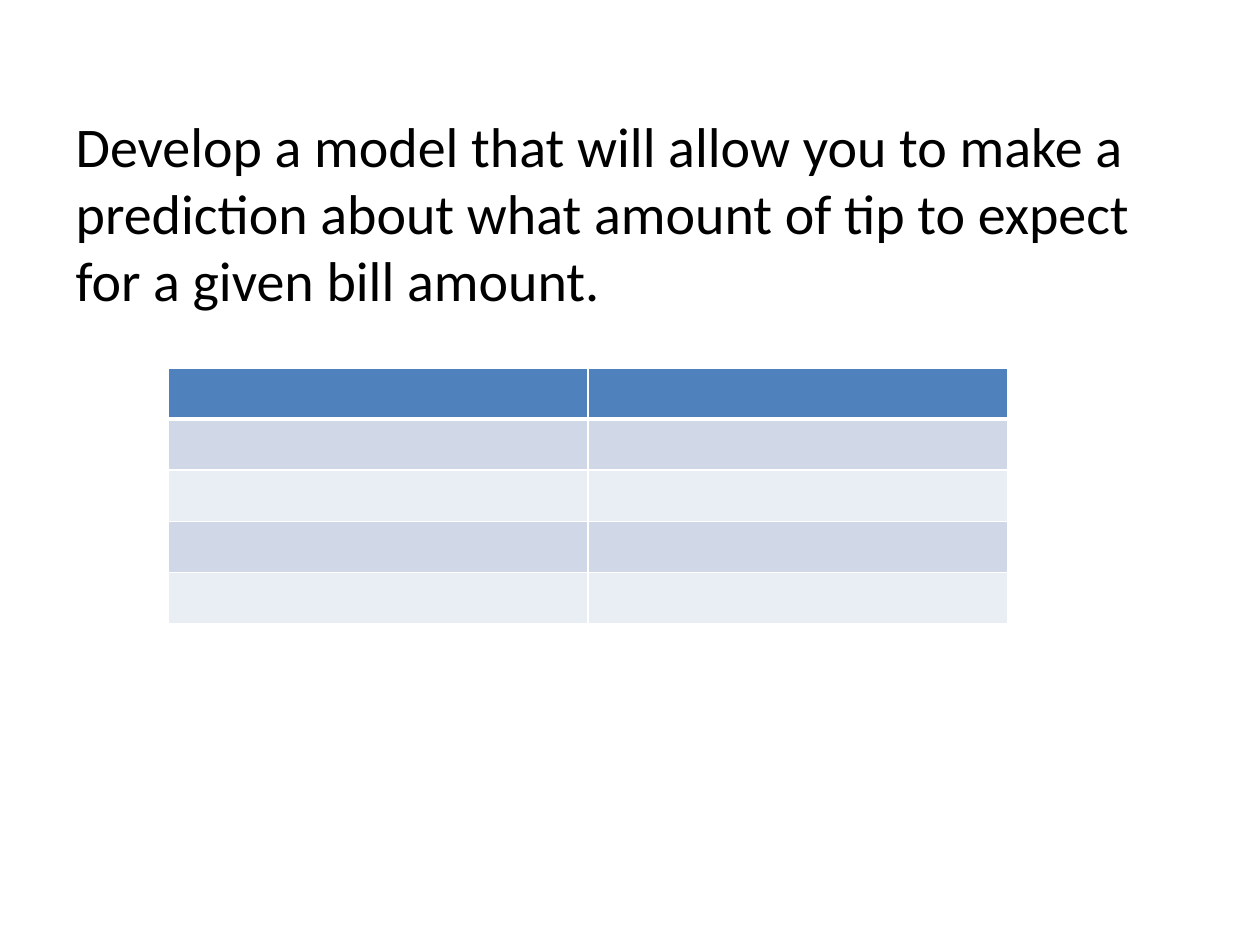
from dataclasses import dataclass

from lxml import etree
from pptx import Presentation
from pptx.dml.color import RGBColor
from pptx.oxml.ns import qn
from pptx.util import Emu, Pt

EMU_PER_PX = 914400 / 126
TITLE_AND_CONTENT = 1
PROMPT = (
    "Develop a model that will allow you to make a prediction about "
    "what amount of tip to expect for a given bill amount."
)


@dataclass(frozen=True)
class Theme:
    font: str = "Calibri"
    body_size: int = 32
    text: str = "000000"
    header: str = "4F81BD"
    bands: tuple = ("D0D8E8", "E9EDF4")
    border: str = "FFFFFF"
    thin: int = 1
    thick: int = 3


THEME = Theme()


def px(length):
    return Emu(round(length * EMU_PER_PX))


def add_prompt(slide, text, left, top, width, height):
    """Fill the body placeholder with one unbulleted paragraph."""
    box = slide.placeholders[1]
    box.left, box.top, box.width, box.height = map(px, (left, top, width, height))
    para = box.text_frame.paragraphs[0]
    properties = para._p.get_or_add_pPr()
    properties.set("marL", "0")
    properties.set("indent", "0")
    etree.SubElement(properties, qn("a:buNone"))
    span = para.add_run()
    span.text = text
    span.font.name = THEME.font
    span.font.size = Pt(THEME.body_size)
    span.font.color.rgb = RGBColor.from_string(THEME.text)


def set_borders(cell, **widths):
    """Draw the cell's borders; widths are points by side: L, R, T, B."""
    properties = cell._tc.get_or_add_tcPr()
    for side, width in widths.items():
        line = etree.SubElement(properties, qn(f"a:ln{side}"), w=str(Pt(width)))
        fill = etree.SubElement(line, qn("a:solidFill"))
        etree.SubElement(fill, qn("a:srgbClr"), val=THEME.border)


def add_banded_table(slide, rows, columns, left, top, width, row_height):
    """Add an empty table with a header row and alternating bands."""
    frame = slide.shapes.add_table(
        rows, columns, px(left), px(top), px(width), px(row_height * rows)
    )
    for row_index, row in enumerate(frame.table.rows):
        is_header = row_index == 0
        color = THEME.header if is_header else THEME.bands[(row_index - 1) % 2]
        above = THEME.thick if row_index == 1 else THEME.thin
        below = THEME.thick if is_header else THEME.thin
        for cell in row.cells:
            # Border elements must come before the fill
            set_borders(cell, L=THEME.thin, R=THEME.thin, T=above, B=below)
            cell.fill.solid()
            cell.fill.fore_color.rgb = RGBColor.from_string(color)


def main():
    deck = Presentation()
    deck.slide_width, deck.slide_height = px(1260), px(945)
    slide = deck.slides.add_slide(deck.slide_layouts[TITLE_AND_CONTENT])

    # This slide has no title
    title = slide.shapes.title
    title.element.getparent().remove(title.element)

    # Task statement
    add_prompt(slide, PROMPT, 63, 105, 1134, 252)

    # Blank table to fill in
    add_banded_table(slide, 5, 2, 168, 368, 840, 51)

    deck.save("out.pptx")


if __name__ == "__main__":
    main()
